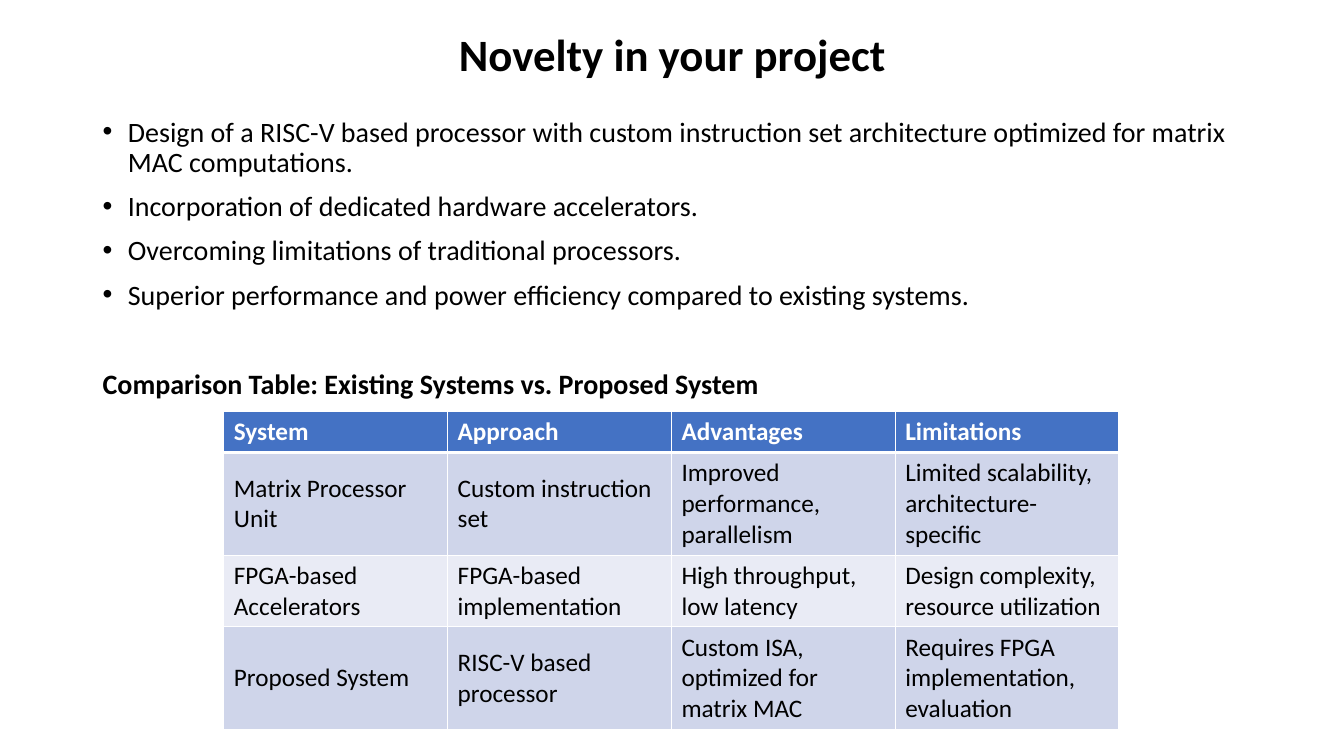
from lxml import etree
from pptx import Presentation
from pptx.dml.color import RGBColor
from pptx.enum.text import MSO_ANCHOR, PP_ALIGN
from pptx.oxml.ns import qn
from pptx.util import Inches, Pt

MIDDLE, BOTTOM = MSO_ANCHOR.MIDDLE, MSO_ANCHOR.BOTTOM
LEFT, CENTER = PP_ALIGN.LEFT, PP_ALIGN.CENTER
BLACK = RGBColor(0x00, 0x00, 0x00)
WHITE = RGBColor(0xFF, 0xFF, 0xFF)
HEADER_BLUE = RGBColor(0x44, 0x72, 0xC4)
BAND_DARK = RGBColor(0xCF, 0xD5, 0xEA)
BAND_LIGHT = RGBColor(0xE9, 0xEB, 0xF5)

# Content
TITLE = "Novelty in your project"
NOVELTIES = [
    "Design of a RISC-V based processor with custom instruction set architecture "
    "optimized for matrix MAC computations.",
    "Incorporation of dedicated hardware accelerators.",
    "Overcoming limitations of traditional processors.",
    "Superior performance and power efficiency compared to existing systems.",
]
TABLE_HEADING = "Comparison Table: Existing Systems vs. Proposed System"
COMPARISON = [
    ("System", "Approach", "Advantages", "Limitations"),
    ("Matrix Processor Unit", "Custom instruction set",
     "Improved performance, parallelism", "Limited scalability, architecture-specific"),
    ("FPGA-based Accelerators", "FPGA-based implementation",
     "High throughput, low latency", "Design complexity, resource utilization"),
    ("Proposed System", "RISC-V based processor",
     "Custom ISA, optimized for matrix MAC", "Requires FPGA implementation, evaluation"),
]
ROW_HEIGHTS = (0.41, 1.02, 0.71, 1.02)
COLUMN_WIDTH = 2.22


def write(paragraph, text, size, color=BLACK, bold=False):
    run = paragraph.add_run()
    run.text = text
    font = {"name": "Calibri", "size": Pt(size), "bold": bold}
    for attribute, value in font.items():
        setattr(run.font, attribute, value)
    run.font.color.rgb = color


def add_frame(slide, top, height):
    box = slide.shapes.add_textbox(Inches(0.92), Inches(top), Inches(11.5), Inches(height))
    box.text_frame.word_wrap = True
    return box.text_frame


def add_bullet(paragraph):
    properties = paragraph._p.get_or_add_pPr()
    properties.set("marL", str(Inches(0.25)))
    properties.set("indent", str(-Inches(0.25)))
    etree.SubElement(properties, qn("a:buFont")).set("typeface", "Arial")
    etree.SubElement(properties, qn("a:buChar")).set("char", "•")


def add_borders(cell, top, bottom):
    properties = cell._tc.get_or_add_tcPr()
    for side, width in (("L", 1), ("R", 1), ("T", top), ("B", bottom)):
        line = etree.SubElement(properties, qn(f"a:ln{side}"), w=str(Pt(width)))
        fill = etree.SubElement(line, qn("a:solidFill"))
        etree.SubElement(fill, qn("a:srgbClr"), val=str(WHITE))


prs = Presentation()
prs.slide_width, prs.slide_height = Inches(13.33), Inches(7.5)
slide = prs.slides.add_slide(prs.slide_layouts[6])

# Title
title = add_frame(slide, 0.11, 0.91)
title.vertical_anchor = MIDDLE
title.paragraphs[0].alignment = CENTER
title.paragraphs[0].line_spacing = 0.9
write(title.paragraphs[0], TITLE, 32, bold=True)

# Novelty bullets, then the table heading after a wider gap
body = add_frame(slide, 1.12, 3.11)
for index, text in enumerate(NOVELTIES + [TABLE_HEADING]):
    is_heading = text == TABLE_HEADING
    paragraph = body.add_paragraph() if index else body.paragraphs[0]
    if not is_heading:
        add_bullet(paragraph)
    paragraph.alignment = LEFT
    paragraph.line_spacing = 0.9
    if index:
        paragraph.space_before = Pt(42 if is_heading else 10)
    write(paragraph, text, 20, bold=is_heading)

# Comparison table
columns = len(COMPARISON[0])
table = slide.shapes.add_table(
    len(COMPARISON), columns, Inches(2.22), Inches(4.08),
    Inches(COLUMN_WIDTH * columns), Inches(sum(ROW_HEIGHTS))).table
for column in table.columns:
    column.width = Inches(COLUMN_WIDTH)
for r, texts in enumerate(COMPARISON):
    table.rows[r].height = Inches(ROW_HEIGHTS[r])
    is_header = r == 0
    band = HEADER_BLUE if is_header else BAND_DARK if r % 2 else BAND_LIGHT
    for c, text in enumerate(texts):
        cell = table.cell(r, c)
        add_borders(cell, top=3 if r == 1 else 1, bottom=3 if is_header else 1)
        cell.fill.solid()
        cell.fill.fore_color.rgb = band
        cell.vertical_anchor = BOTTOM if is_header else MIDDLE
        write(cell.text_frame.paragraphs[0], text, 18, WHITE if is_header else BLACK, is_header)

prs.save("out.pptx")
